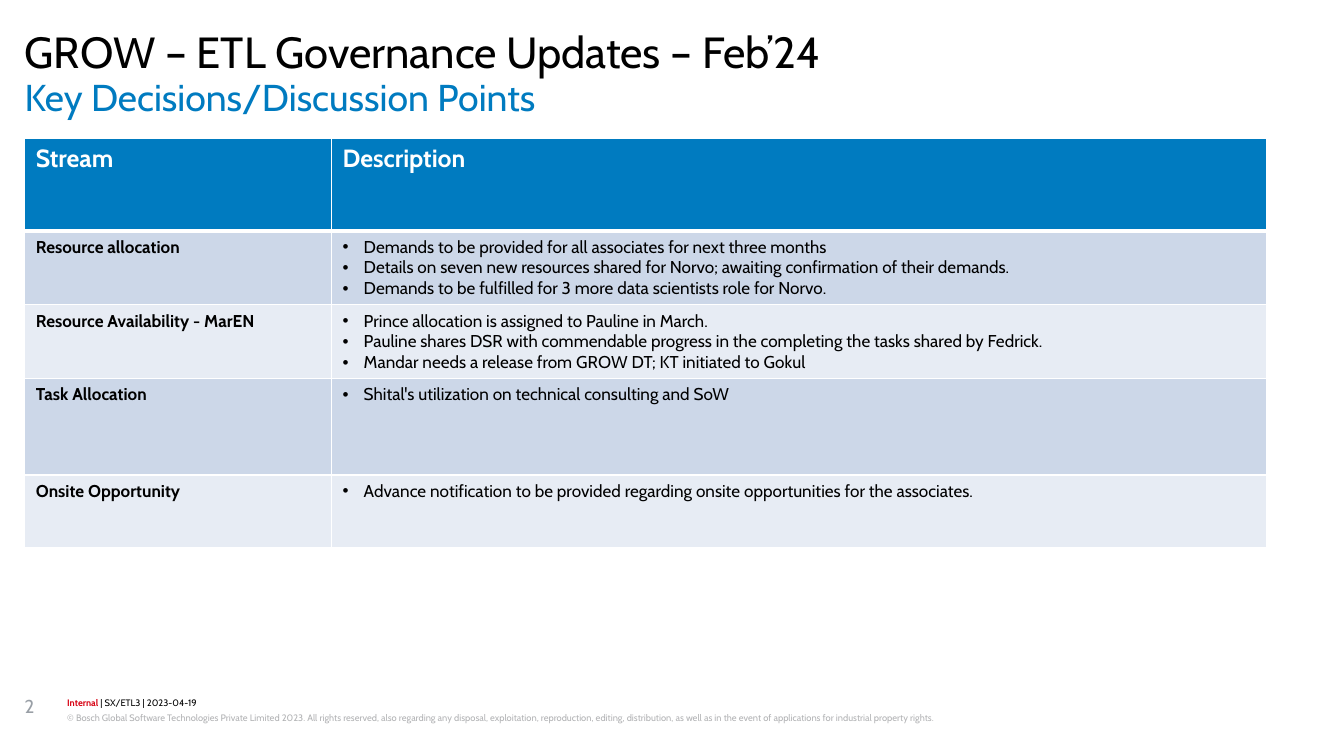
from dataclasses import dataclass

from lxml.etree import SubElement
from pptx import Presentation
from pptx.dml.color import RGBColor
from pptx.enum.text import MSO_ANCHOR, MSO_AUTO_SIZE, PP_ALIGN
from pptx.oxml.ns import qn
from pptx.util import Pt


@dataclass(frozen=True)
class Theme:
    font: str = "Cabin"
    black: str = "000000"
    white: str = "FFFFFF"
    blue: str = "007BC0"
    red: str = "D70012"
    gray: str = "999FA6"
    light_gray: str = "B2B3B5"
    bands: tuple = ("CCD7E8", "E7ECF4")
    heading_size: float = 28
    title_size: float = 24
    header_size: float = 16
    number_size: float = 12
    body_size: float = 11
    footer_size: float = 6


THEME = Theme()
LEFT = 15.84
FOOTER_LEFT = 43.2
COLUMN_WIDTHS = (197.3, 601.2)
ROW_HEIGHTS = (59.8, 44.6, 38.9, 61.9, 46.8)
HEADERS = ("Stream", "Description")
STREAMS = (
    ("Resource allocation", (
        "Demands to be provided for all associates for next three months",
        "Details on seven new resources shared for Norvo; awaiting confirmation of their demands.",
        "Demands to be fulfilled for 3 more data scientists role for Norvo.",
    )),
    ("Resource Availability - MarEN", (
        "Prince allocation is assigned to Pauline in March.",
        "Pauline shares DSR with commendable progress in the completing the tasks shared by Fedrick.",
        "Mandar needs a release from GROW DT; KT initiated to Gokul",
    )),
    ("Task Allocation", ("Shital's utilization on technical consulting and SoW",)),
    ("Onsite Opportunity", (
        "Advance notification to be provided regarding onsite opportunities for the associates.",
    )),
)


def set_values(target, values):
    for name, value in values.items():
        setattr(target, name, value)


def add_span(para, text, size, color, bold=False):
    span = para.add_run()
    span.text = text
    set_values(span.font, {"name": THEME.font, "size": Pt(size), "bold": bold})
    span.font.color.rgb = RGBColor.from_string(color)


def format_frame(box, left, top, width, height):
    set_values(box, {"left": Pt(left), "top": Pt(top), "width": Pt(width), "height": Pt(height)})
    set_values(box.text_frame, {
        "margin_left": 0, "margin_top": 0, "margin_right": 0, "margin_bottom": 0,
        "word_wrap": True, "auto_size": MSO_AUTO_SIZE.NONE, "vertical_anchor": MSO_ANCHOR.TOP,
    })


def fill_box(box, area, spans, line_spacing=1.0):
    format_frame(box, *area)
    para = box.text_frame.paragraphs[0]
    set_values(para, {"alignment": PP_ALIGN.LEFT, "line_spacing": line_spacing, "space_before": Pt(0)})
    for span in spans:
        add_span(para, *span)


def add_text(page, area, spans, line_spacing=1.0):
    box = page.shapes.add_textbox(*(Pt(length) for length in area))
    fill_box(box, area, spans, line_spacing)


def add_bullet(para):
    properties = para._p.get_or_add_pPr()
    properties.set("marL", str(Pt(13.5)))
    properties.set("indent", str(-Pt(13.5)))
    SubElement(properties, qn("a:buFont"), typeface="Arial")
    SubElement(properties, qn("a:buChar"), char="•")


def set_borders(cell, top=1, bottom=1):
    properties = cell._tc.get_or_add_tcPr()
    for side, width in (("L", 1), ("R", 1), ("T", top), ("B", bottom)):
        line = SubElement(properties, qn(f"a:ln{side}"), w=str(Pt(width)))
        fill = SubElement(line, qn("a:solidFill"))
        SubElement(fill, qn("a:srgbClr"), val=THEME.white)


def fill_cell(cell, lines, fill, size, color, bold=False, bullets=False, top=1, bottom=1):
    set_borders(cell, top, bottom)
    cell.fill.solid()
    cell.fill.fore_color.rgb = RGBColor.from_string(fill)
    for index, line in enumerate(lines):
        para = cell.text_frame.add_paragraph() if index else cell.text_frame.paragraphs[0]
        if bullets:
            add_bullet(para)
        add_span(para, line, size, color, bold)


def add_stream_table(page):
    frame = page.shapes.add_table(
        len(ROW_HEIGHTS), len(COLUMN_WIDTHS), Pt(LEFT), Pt(88.6),
        Pt(sum(COLUMN_WIDTHS)), Pt(sum(ROW_HEIGHTS)))
    table = frame.table
    for column, width in zip(table.columns, COLUMN_WIDTHS):
        column.width = Pt(width)
    for row, height in zip(table.rows, ROW_HEIGHTS):
        row.height = Pt(height)

    # Header row, with a thick rule below it
    for column, header in enumerate(HEADERS):
        fill_cell(table.cell(0, column), [header], THEME.blue, THEME.header_size,
                  THEME.white, bold=True, bottom=3)

    # Banded stream rows
    for row, (stream, points) in enumerate(STREAMS, start=1):
        style = {"fill": THEME.bands[(row - 1) % 2], "size": THEME.body_size,
                 "color": THEME.black, "top": 3 if row == 1 else 1}
        fill_cell(table.cell(row, 0), [stream], bold=True, **style)
        fill_cell(table.cell(row, 1), points, bullets=True, **style)


def add_footer(page):
    size = THEME.footer_size
    add_text(page, (LEFT, 446.4, 23, 32.4), [("2", THEME.number_size, THEME.gray)])
    add_text(page, (FOOTER_LEFT, 447.8, 718.6, 8.6), [
        ("Internal", size, THEME.red, True),
        (" | SX/ETL3 | 2023-04-19", size, THEME.black),
    ], 1.07)
    add_text(page, (FOOTER_LEFT, 456.5, 718.6, 17.3), [(
        "© Bosch Global Software Technologies Private Limited 2023. All rights reserved, "
        "also regarding any disposal, exploitation, reproduction, editing, distribution, "
        "as well as in the event of applications for industrial property rights.",
        size, THEME.light_gray)], 1.2)


def main():
    deck = Presentation()
    set_values(deck, {"slide_width": Pt(864), "slide_height": Pt(486)})
    page = deck.slides.add_slide(deck.slide_layouts[5])

    # Heading and title
    add_text(page, (LEFT, 20.2, 831.6, 31),
             [("GROW – ETL Governance Updates – Feb’24", THEME.heading_size, THEME.black)], 0.89)
    fill_box(page.shapes.title, (LEFT, 51.1, 831.6, 31),
             [("Key Decisions/Discussion Points", THEME.title_size, THEME.blue)], 0.89)

    # Table and footer
    add_stream_table(page)
    add_footer(page)
    deck.save("out.pptx")


if __name__ == "__main__":
    main()
